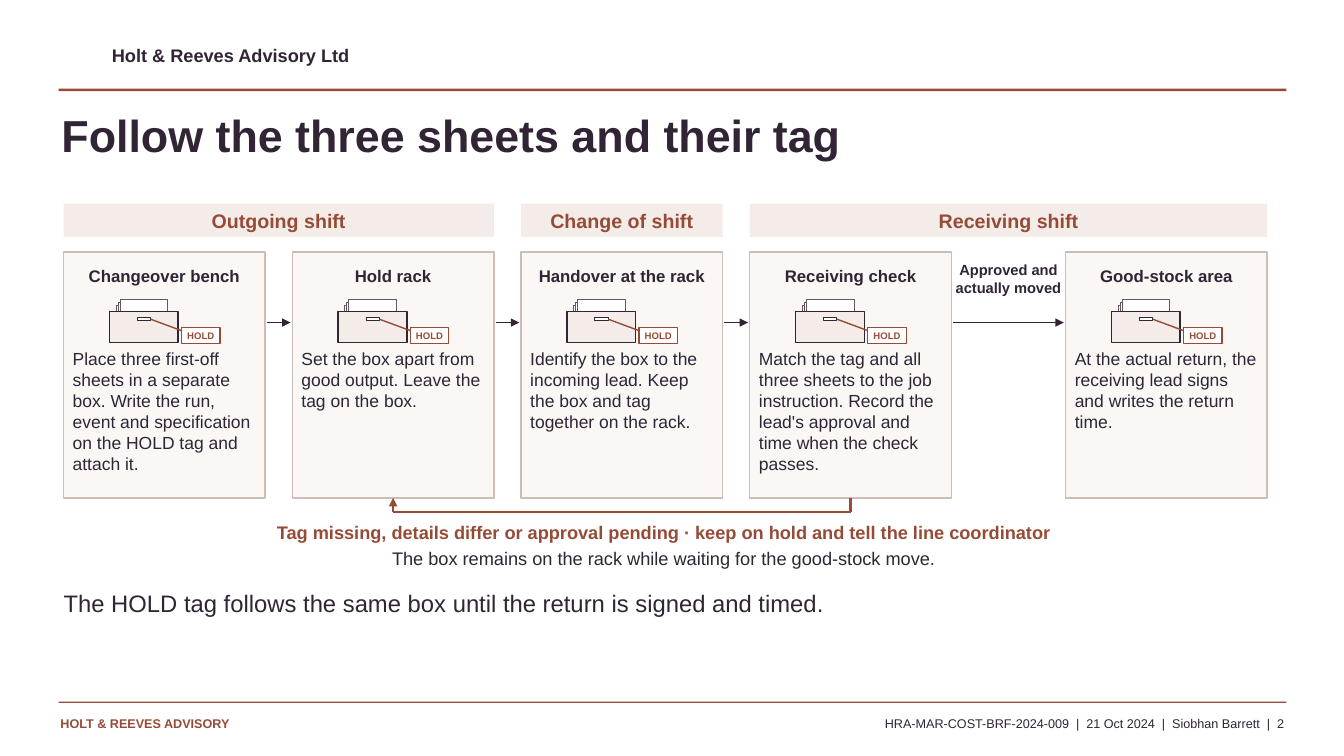
from dataclasses import dataclass

from lxml.etree import SubElement
from pptx import Presentation
from pptx.dml.color import RGBColor
from pptx.enum.shapes import MSO_CONNECTOR as CONN, MSO_SHAPE as SHAPE
from pptx.enum.text import MSO_ANCHOR as ANCHOR, MSO_AUTO_SIZE as AUTO, PP_ALIGN as ALIGN
from pptx.oxml.ns import qn
from pptx.util import Pt


@dataclass(frozen=True)
class Theme:
    """Colours, font and type sizes of the deck."""
    font: str = "Arial"
    ink: str = "302435"
    rust: str = "964B37"
    blush: str = "F4ECE8"
    card: str = "FAF7F5"
    edge: str = "CDBDB7"
    sheet: str = "665661"
    white: str = "FFFFFF"
    title: float = 32
    lead: float = 17
    band: float = 14
    note: float = 13
    body: float = 12.5
    head: float = 12
    gate: float = 10.5
    foot: float = 9
    tag: float = 6.8


T = Theme()
CARD_W, CARD_H, GAP, GATE_GAP = 144, 175.7, 19.4, 81.6
LEFT, CARD_TOP, BAND_TOP, BAND_H = 45.4, 180, 145.4, 23.8
STAGES = [
    ("Changeover bench", "Place three first-off sheets in a separate box. Write the run, "
     "event and specification on the HOLD tag and attach it."),
    ("Hold rack", "Set the box apart from good output. Leave the tag on the box."),
    ("Handover at the rack", "Identify the box to the incoming lead. Keep the box and tag "
     "together on the rack."),
    ("Receiving check", "Match the tag and all three sheets to the job instruction. Record "
     "the lead's approval and time when the check passes."),
    ("Good-stock area", "At the actual return, the receiving lead signs and writes the "
     "return time."),
]
SHIFTS = [("Outgoing shift", 0, 1), ("Change of shift", 2, 2), ("Receiving shift", 3, 4)]


def write(sp, text, size, color=T.ink, bold=False, align=ALIGN.LEFT, anchor=ANCHOR.TOP):
    """Put one formatted paragraph into a shape without margins."""
    tf = sp.text_frame
    tf.word_wrap = True
    tf.auto_size = AUTO.NONE
    tf.margin_left = tf.margin_top = tf.margin_right = tf.margin_bottom = 0
    tf.vertical_anchor = anchor
    p = tf.paragraphs[0]
    p.alignment = align
    p.space_before = Pt(0)
    r = p.add_run()
    r.text = text
    r.font.name, r.font.size, r.font.bold = T.font, Pt(size), bold
    r.font.color.rgb = RGBColor.from_string(color)


def label(s, box, text, size, **fmt):
    """Add a text box."""
    write(s.shapes.add_textbox(*map(Pt, box)), text, size, **fmt)


def block(s, box, fill, line=None, width=1):
    """Add a flat filled rectangle."""
    sp = s.shapes.add_shape(SHAPE.RECTANGLE, *map(Pt, box))
    sp.shadow.inherit = False
    sp.fill.solid()
    sp.fill.fore_color.rgb = RGBColor.from_string(fill)
    if line:
        sp.line.color.rgb = RGBColor.from_string(line)
        sp.line.width = Pt(width)
    else:
        sp.line.fill.background()
    return sp


def link(s, start, end, color, width, arrow=False):
    """Add a straight line, with an optional arrowhead at its end."""
    c = s.shapes.add_connector(CONN.STRAIGHT, *map(Pt, (*start, *end)))
    c.line.color.rgb = RGBColor.from_string(color)
    c.line.width = Pt(width)
    if arrow:
        SubElement(c.line._get_or_add_ln(), qn("a:tailEnd"), type="triangle")
    SubElement(c._element.spPr, qn("a:effectLst"))
    return c


def place(sp, box):
    """Move a placeholder to a box."""
    sp.left, sp.top, sp.width, sp.height = map(Pt, box)


def frame(s, x, w):
    """Draw the header and footer between the side margins."""
    label(s, (x + 38.1, 31.7, 432, 19.4), "Holt & Reeves Advisory Ltd", T.note, bold=True)
    block(s, (x, 63.4, w, 1.7), T.rust)
    block(s, (x, 501.1, w, 1), T.rust)
    label(s, (x + 1.4, 511.2, 244.8, 18), "HOLT & REEVES ADVISORY", T.foot, color=T.rust, bold=True)
    label(s, (x + 254.8, 511.2, 620.6, 17.3),
          "HRA-MAR-COST-BRF-2024-009  |  21 Oct 2024  |  Siobhan Barrett  |  2",
          T.foot, align=ALIGN.RIGHT)


def headings(s):
    """Fill the title and the closing statement."""
    title, body = s.placeholders
    place(title, (43.9, 77, 864, 56.2))
    write(title, "Follow the three sheets and their tag", T.title, bold=True)
    place(body, (LEFT, 420.5, 859.7, 57.6))
    pPr = body.text_frame.paragraphs[0]._p.get_or_add_pPr()
    pPr.set("marL", str(Pt(27)))
    pPr.set("indent", str(Pt(-27)))
    SubElement(pPr, qn("a:buNone"))
    write(body, "The HOLD tag follows the same box until the return is signed and timed.", T.lead)


def tagged_box(s, x, y):
    """Draw the box of sheets with its HOLD tag."""
    for i in range(3):
        block(s, (x + 4.9 + 1.44 * i, y + 4.3 - 2.16 * i, 34, 8.6), T.white, T.sheet, 0.72)
    block(s, (x, y + 8.6, 49.2, 22.3), T.blush, T.ink, 1.1)
    slot = block(s, (x + 20.1, y + 13, 9.4, 2.4), T.white, T.ink, 0.75)
    string = link(s, (x + 29.5, y + 14.2), (x + 53.2, y + 23), T.rust, 1)
    string.begin_connect(slot, 3)
    tag = block(s, (x + 51.6, y + 20.2, 27.4, 11.5), T.white, T.rust, 0.9)
    write(tag, "HOLD", T.tag, color=T.rust, bold=True, align=ALIGN.CENTER, anchor=ANCHOR.MIDDLE)


def stage(s, x, y, name, text):
    """Draw one stage card and return its outline."""
    card = block(s, (x, y, CARD_W, CARD_H), T.card, T.edge, 1)
    label(s, (x + 2.9, y + 10.1, CARD_W - 5.8, 19.4), name, T.head, bold=True, align=ALIGN.CENTER)
    tagged_box(s, x + 32.7, y + 33.8)
    label(s, (x + 6.5, y + 68.4, CARD_W - 13, 97.9), text, T.body)
    return card


def flow(s, x, y):
    """Draw the shift bands, the stage cards and the arrows between them."""
    xs = [x + i * (CARD_W + GAP) for i in range(4)]
    xs.append(xs[-1] + CARD_W + GATE_GAP)
    for name, first, last in SHIFTS:
        band = block(s, (xs[first], BAND_TOP, xs[last] + CARD_W - xs[first], BAND_H), T.blush)
        write(band, name, T.band, color=T.rust, bold=True, align=ALIGN.CENTER, anchor=ANCHOR.MIDDLE)
    cards = [stage(s, cx, y, *text) for cx, text in zip(xs, STAGES)]
    for cx, following in zip(xs, xs[1:]):
        link(s, (cx + CARD_W + 1.3, y + 50.4), (following - 1.3, y + 50.4), T.ink, 1.3, arrow=True)
    label(s, (xs[3] + CARD_W + 1.4, y + 6.5, GATE_GAP - 2.8, 37.4), "Approved and actually moved",
          T.gate, bold=True, align=ALIGN.CENTER)
    return_loop(s, cards[3], cards[1], xs[3] + CARD_W / 2, xs[1] + CARD_W / 2, y + CARD_H)


def return_loop(s, check, rack, x1, x2, y):
    """Draw the way back from the check to the hold rack, with its notes."""
    low = y + 10.1
    link(s, (x1, y), (x1, low), T.rust, 1.6).begin_connect(check, 2)
    link(s, (x1, low), (x2, low), T.rust, 1.6)
    link(s, (x2, low), (x2, y), T.rust, 1.6, arrow=True).end_connect(rack, 2)
    label(s, (78.5, y + 16.6, 790.6, 17.3),
          "Tag missing, details differ or approval pending · keep on hold and tell the line coordinator",
          T.note, color=T.rust, bold=True, align=ALIGN.CENTER)
    label(s, (78.5, y + 35.3, 790.6, 17.3),
          "The box remains on the rack while waiting for the good-stock move.",
          T.note, align=ALIGN.CENTER)


def main():
    """Build the slide and save it."""
    prs = Presentation()
    prs.slide_width, prs.slide_height = Pt(960), Pt(540)
    s = prs.slides.add_slide(prs.slide_layouts[1])
    frame(s, 41.8, 877)
    headings(s)
    flow(s, LEFT, CARD_TOP)
    prs.save("out.pptx")


if __name__ == "__main__":
    main()
